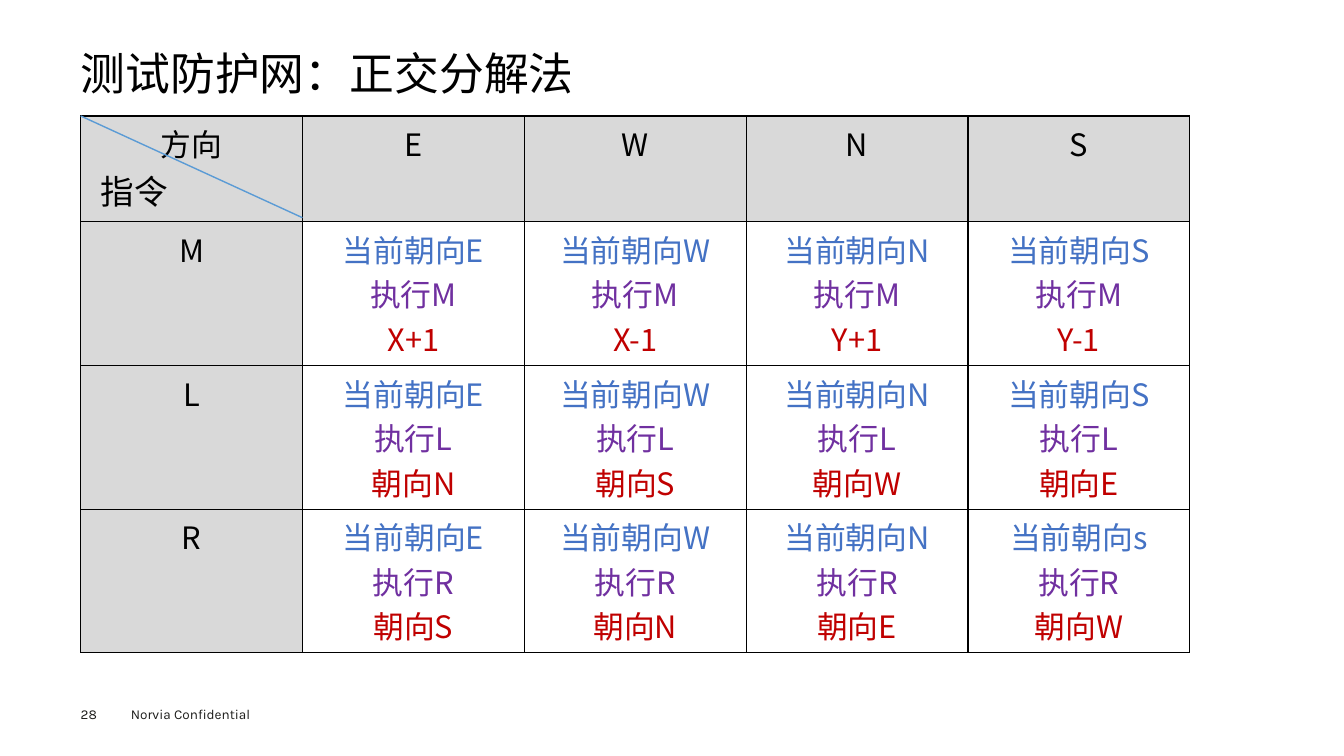
from dataclasses import dataclass
from lxml.etree import SubElement
from pptx import Presentation
from pptx.dml.color import RGBColor
from pptx.enum.shapes import MSO_CONNECTOR
from pptx.enum.text import MSO_ANCHOR, PP_ALIGN
from pptx.oxml.ns import qn
from pptx.util import Inches, Pt

TITLE = "测试防护网：正交分解法"
CORNER = ("方向", "指令")
DIRECTIONS = ["E", "W", "N", "S"]
RESULTS = {
    "M": ["X+1", "X-1", "Y+1", "Y-1"],
    "L": ["朝向N", "朝向S", "朝向W", "朝向E"],
    "R": ["朝向S", "朝向N", "朝向E", "朝向W"],
}
FACING = {("R", "S"): "s"}
PAGE, FOOTER = "28", "Norvia Confidential"


@dataclass(frozen=True)
class Theme:
    ink: str = "000000"
    small_ink: str = "1D1D1B"
    header: str = "D9D9D9"
    steps: tuple = ("4472C4", "7030A0", "C00000")
    diagonal: str = "5B9BD5"
    latin: str = "Karla"
    cjk: str = "Noto Sans CJK SC"
    title_size: float = 32
    label_size: float = 24
    cell_size: float = 22
    small_size: float = 9.7


T = Theme()
LEFT, TOP = 0.8, 1.15
COL_W, HEAD_H, ROW_H = 2.2, 1.05, 1.21


def add_text(p, text, size, color, font=T.cjk):
    r = p.add_run()
    r.text = text
    for name, value in {"name": font, "size": Pt(size), "bold": False}.items():
        setattr(r.font, name, value)
    r.font.color.rgb = RGBColor.from_string(color)
    SubElement(r.font._element, qn("a:ea"), typeface=T.cjk)


def format_frame(tf, margin=None, anchor=MSO_ANCHOR.TOP):
    values = {"word_wrap": True, "vertical_anchor": anchor}
    if margin is not None:
        for side in ("left", "right", "top", "bottom"):
            values[f"margin_{side}"] = Inches(margin)
    for name, value in values.items():
        setattr(tf, name, value)


def add_label(s, box, text, size, color, font, margin=None):
    tf = s.shapes.add_textbox(*map(Inches, box)).text_frame
    format_frame(tf, margin)
    add_text(tf.paragraphs[0], text, size, color, font)


def fill_cell(cell, lines, colors, fill=None):
    tcPr = cell._tc.get_or_add_tcPr()
    for edge in ("lnL", "lnR", "lnT", "lnB"):
        ln = SubElement(tcPr, qn(f"a:{edge}"), w=str(Pt(1)))
        SubElement(SubElement(ln, qn("a:solidFill")), qn("a:srgbClr"), val=T.ink)
    if fill:
        cell.fill.solid()
        cell.fill.fore_color.rgb = RGBColor.from_string(fill)
    else:
        cell.fill.background()
    tf = cell.text_frame
    for i, (line, color) in enumerate(zip(lines, colors)):
        p = tf.add_paragraph() if i else tf.paragraphs[0]
        p.alignment = PP_ALIGN.CENTER
        add_text(p, line, T.cell_size, color)


def add_grid(s):
    n_rows, n_cols = len(RESULTS) + 1, len(DIRECTIONS) + 1
    box = (LEFT, TOP, COL_W * n_cols, HEAD_H + ROW_H * len(RESULTS))
    table = s.shapes.add_table(n_rows, n_cols, *map(Inches, box)).table
    table.first_row = table.horz_banding = False
    for col in table.columns:
        col.width = Inches(COL_W)
    for i, row in enumerate(table.rows):
        row.height = Inches(ROW_H if i else HEAD_H)
    for j, name in enumerate([CORNER[0]] + DIRECTIONS):
        fill_cell(table.cell(0, j), [name], [T.ink], T.header)
    for i, (command, results) in enumerate(RESULTS.items(), 1):
        fill_cell(table.cell(i, 0), [command], [T.ink], T.header)
        for j, (direction, result) in enumerate(zip(DIRECTIONS, results), 1):
            facing = FACING.get((command, direction), direction)
            lines = [f"当前朝向{facing}", f"执行{command}", result]
            fill_cell(table.cell(i, j), lines, T.steps)


def add_diagonal(s):
    ends = (LEFT, TOP, LEFT + COL_W, 2.16)
    line = s.shapes.add_connector(MSO_CONNECTOR.STRAIGHT, *map(Inches, ends))
    line.line.color.rgb = RGBColor.from_string(T.diagonal)
    line.line.width = Pt(1)
    SubElement(line._element.spPr, qn("a:effectLst"))


def add_title(s):
    title = s.shapes.title
    box = {"left": LEFT, "top": 0.49, "width": 11.73, "height": 0.53}
    for name, value in box.items():
        setattr(title, name, Inches(value))
    format_frame(title.text_frame, 0, MSO_ANCHOR.MIDDLE)
    p = title.text_frame.paragraphs[0]
    p.alignment, p.line_spacing = PP_ALIGN.LEFT, 0.9
    add_text(p, TITLE, T.title_size, T.ink, T.latin)


def main():
    prs = Presentation()
    prs.slide_width, prs.slide_height = Inches(13.33), Inches(7.5)
    s = prs.slides.add_slide(prs.slide_layouts[5])
    add_title(s)
    add_grid(s)
    add_diagonal(s)
    add_label(s, (0.9, 1.65, 0.89, 0.5), CORNER[1], T.label_size, T.ink, T.cjk)
    add_label(s, (1.2, 6.95, 1.6, 0.27), FOOTER, T.small_size, T.small_ink, T.latin)
    add_label(s, (LEFT, 7, 0.55, 0.16), PAGE, T.small_size, T.small_ink, T.latin, 0)
    prs.save("out.pptx")


if __name__ == "__main__":
    main()
